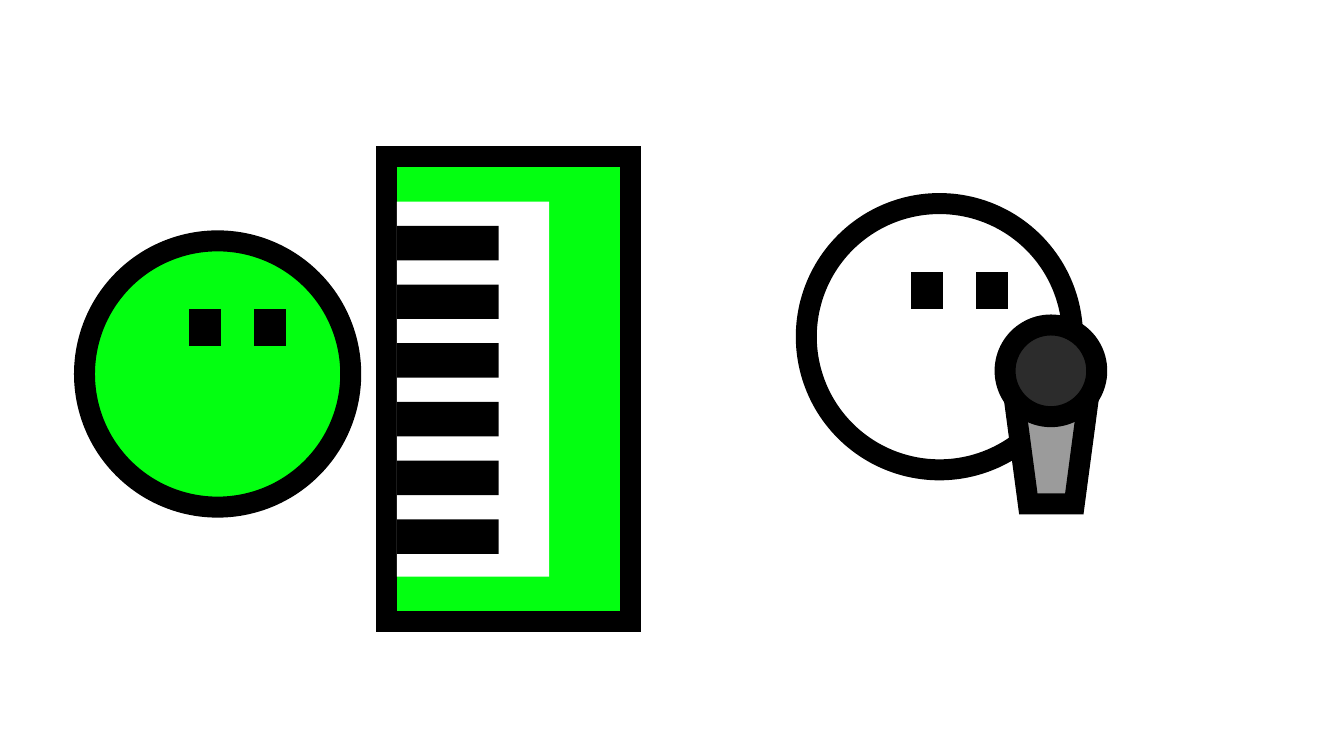
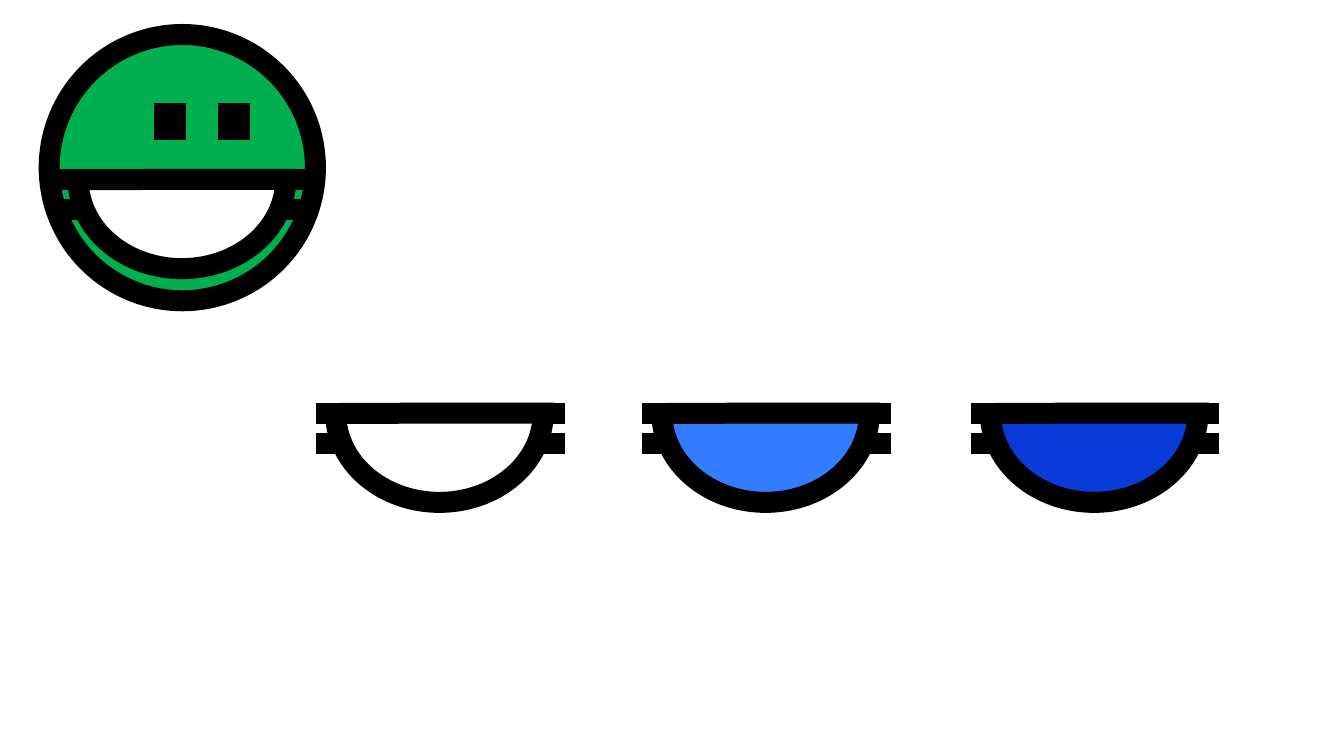
from lxml import etree
from pptx import Presentation
from pptx import util as u
from pptx.dml.color import RGBColor
from pptx.enum import shapes as kinds
from pptx.oxml.ns import qn

BLACK, WHITE = "000000", "FFFFFF"
LIME, GREEN = "03FF11", "00B050"
SKY, BLUE = "337CFF", "0A3BD8"
STEEL, CHARCOAL = "9B9B9B", "2C2C2C"
OUTLINE = u.Pt(15)
KIND = kinds.MSO_SHAPE


def paint(part, colour):
    part.fill.solid()
    part.fill.fore_color.rgb = RGBColor.from_string(colour)


def outline(line):
    """Give a line the heavy black stroke with sharp corners."""
    paint(line, BLACK)
    line.width = OUTLINE
    stroke = line.fill._xPr
    etree.SubElement(stroke, qn("a:miter")).set("lim", "800000")


def add_figure(parent, kind, left, top, width, height, colour, outlined=True):
    """Add a filled preset shape; lengths are in centimetres."""
    figure = parent.shapes.add_shape(
        kind, u.Cm(left), u.Cm(top), u.Cm(width), u.Cm(height))
    figure.shadow.inherit = False
    paint(figure, colour)
    if outlined:
        outline(figure.line)
    else:
        figure.line.fill.background()
    return figure


def add_level_line(parent, left, top, width):
    line = parent.shapes.add_connector(
        kinds.MSO_CONNECTOR.STRAIGHT,
        u.Cm(left), u.Cm(top), u.Cm(left + width), u.Cm(top))
    outline(line.line)
    etree.SubElement(line._element.spPr, qn("a:effectLst"))


def add_face(page, left, top, colour):
    face = page.shapes.add_group_shape()
    add_figure(face, KIND.OVAL, left, top, 6.71, 6.71, colour)
    for eye_offset in (2.9, 4.53):
        add_figure(face, KIND.RECTANGLE, left + eye_offset, top + 1.98,
                   0.28, 0.41, BLACK)


def add_mouth(page, left, top, colour):
    """Add two lip lines with a half-round mouth over them."""
    mouth = page.shapes.add_group_shape()
    for lip_top in (top, top + 0.76):
        add_level_line(mouth, left, lip_top, 6.27)
    opening = add_figure(mouth, KIND.PIE, left + 0.5, top - 2.26,
                         5.23, 4.5, colour)
    opening.adjustments[0] = 0
    opening.adjustments[1] = 107.86


def add_keyboard(page):
    add_figure(page, KIND.RECTANGLE, 9.82 - 0.09, 3.94, 6.15, 11.73, LIME)
    add_figure(page, KIND.RECTANGLE, 10, 5.08, 3.84, 9.45, WHITE, False)
    for key in range(6):
        add_figure(page, KIND.RECTANGLE, 10, 5.69 + 1.48 * key,
                   2.57, 0.87, BLACK, False)


def add_microphone(page):
    microphone = page.shapes.add_group_shape()
    add_figure(microphone, KIND.FLOWCHART_MANUAL_OPERATION,
               25.53, 9.8, 1.93, 2.9, STEEL)
    add_figure(microphone, KIND.OVAL, 25.33, 8.19, 2.31, 2.31, CHARCOAL)


def main():
    deck = Presentation()
    deck.slide_width, deck.slide_height = u.Cm(33.87), u.Cm(19.05)
    blank = deck.slide_layouts[6]

    band = deck.slides.add_slide(blank)
    add_keyboard(band)
    add_face(band, 2.13, 6.07, LIME)
    add_face(band, 20.32, 5.13, WHITE)
    add_microphone(band)

    mouths = deck.slides.add_slide(blank)
    add_face(mouths, 1.24, 0.87, GREEN)
    add_mouth(mouths, 1.47, 4.53, WHITE)
    for left, colour in ((7.96, WHITE), (16.18, SKY), (24.46, BLUE)):
        add_mouth(mouths, left, 10.42, colour)

    deck.save("out.pptx")


if __name__ == "__main__":
    main()
